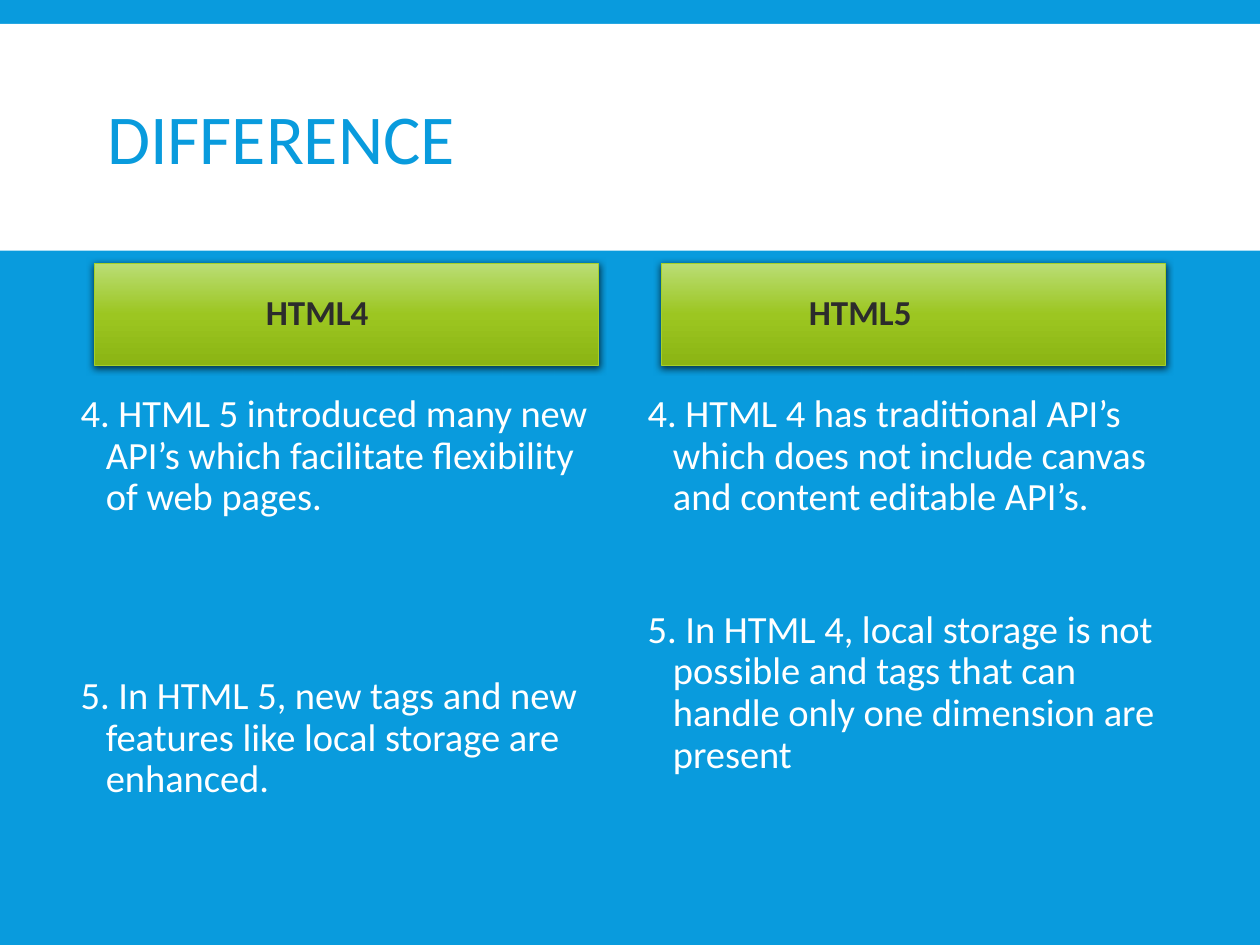
from dataclasses import dataclass
from lxml import etree
from pptx import Presentation
from pptx.dml import color
from pptx.enum import shapes, text
from pptx.oxml import ns, parse_xml
from pptx.util import Inches, Pt

BLUE, WHITE, DARK = "099BDD", "FFFFFF", "2C2C2C"
STOPS = {0: "BADD75", 50: "9CC621", 100: "8BB413"}
XMLNS = ns.nsdecls("a")
SHADOW = (
    f'<a:effectLst {XMLNS}><a:outerShdw blurRad="{Pt(4)}" dist="{Pt(1.2)}" '
    'dir="5400000" rotWithShape="0"><a:srgbClr val="000000">'
    '<a:alpha val="68000"/></a:srgbClr></a:outerShdw></a:effectLst>'
)
PARA = {"line_spacing": 0.9, "space_before": Pt(12), "space_after": Pt(2)}


@dataclass
class Column:
    """One side of the comparison."""
    left: float
    head: str
    inset: float
    items: tuple[str, str]
    gap: float


COLS = [
    Column(0.75, "HTML4", 1.26, (
        "4. HTML 5 introduced many new API’s which facilitate flexibility of web pages.",
        "5. In HTML 5, new tags and new features like local storage are enhanced."), 88),
    Column(5.25, "HTML5", 1.07, (
        "4. HTML 4 has traditional API’s which does not include canvas and content editable API’s.",
        "5. In HTML 4, local storage is not possible and tags that can handle only one dimension are present"), 50),
]


def rgb(code: str) -> color.RGBColor:
    """Return the colour for a hex string."""
    return color.RGBColor.from_string(code)


def apply(item, vals: dict) -> None:
    """Set each named attribute on an item."""
    for key, val in vals.items():
        setattr(item, key, val)


def place(shape, *box: float) -> None:
    """Move and size a shape in inches."""
    apply(shape, dict(zip(("left", "top", "width", "height"), map(Inches, box))))


def write(shape, lines, size: float, tint: str, anchor, para: dict,
          bold: bool = False, indent: tuple[float, float] = (0, 0)) -> list:
    """Fill a placeholder with formatted paragraphs."""
    frame = shape.text_frame
    frame.text = "\n".join(lines)
    apply(frame, {"vertical_anchor": anchor, "word_wrap": True,
                  "auto_size": text.MSO_AUTO_SIZE.NONE})
    for par in frame.paragraphs:
        apply(par, {"alignment": text.PP_ALIGN.LEFT, **para})
        run = par.runs[0]
        apply(run.font, {"name": "Calibri", "size": Pt(size), "bold": bold})
        run.font.color.rgb = rgb(tint)
        props = par._p.get_or_add_pPr()
        for key, val in zip(("marL", "indent"), indent):
            props.set(key, str(Inches(val)))
        etree.SubElement(props, ns.qn("a:buNone"))
    return list(frame.paragraphs)


def glow(shape) -> None:
    """Give a heading its green gradient, edge and shadow."""
    shape.fill.gradient()
    shape.fill.gradient_angle = 270
    stops = shape._element.spPr.find(".//" + ns.qn("a:gsLst"))
    for old in list(stops):
        stops.remove(old)
    for pos, tint in STOPS.items():
        stops.append(parse_xml(
            f'<a:gs {XMLNS} pos="{pos * 1000}"><a:srgbClr val="{tint}"/></a:gs>'))
    shape.line.color.rgb = rgb("A5D028")
    shape.line.width = Pt(0.75)
    shape._element.spPr.append(parse_xml(SHADOW))


def draw(slide, col: Column, head, body) -> None:
    """Draw one column with its heading and list."""
    place(head, col.left, 2.09, 4, 0.81)
    glow(head)
    write(head, [col.head], 20, DARK, text.MSO_ANCHOR.MIDDLE, PARA,
          True, (col.inset, 0))
    place(body, col.left - 0.21, 3.08, 4.42, 4.12)
    pars = write(body, col.items, 22, WHITE, text.MSO_ANCHOR.TOP, PARA,
                 indent=(0.2, -0.2))
    pars[-1].space_before = Pt(col.gap)


def main() -> None:
    """Build and save the slide."""
    deck = Presentation()
    apply(deck, {"slide_width": Inches(10), "slide_height": Inches(7.5)})
    slide = deck.slides.add_slide(deck.slide_layouts[4])
    slide.background.fill.solid()
    slide.background.fill.fore_color.rgb = rgb(BLUE)
    band = slide.shapes.add_shape(shapes.MSO_SHAPE.RECTANGLE, 0, 0, 0, 0)
    place(band, 0, 0.19, 10, 1.8)
    band.fill.solid()
    band.fill.fore_color.rgb = rgb(WHITE)
    band.line.fill.background()
    band.shadow.inherit = False
    slide.shapes._spTree.insert(2, band._element)
    title = slide.shapes.title
    place(title, 0.75, 0.31, 8.5, 1.65)
    write(title, ["DIFFERENCE"], 40, BLUE, text.MSO_ANCHOR.MIDDLE,
          {"line_spacing": 0.85})
    holds = {p.placeholder_format.idx: p for p in slide.placeholders}
    for num, col in enumerate(COLS):
        draw(slide, col, holds[2 * num + 1], holds[2 * num + 2])
    deck.save("out.pptx")


main()
